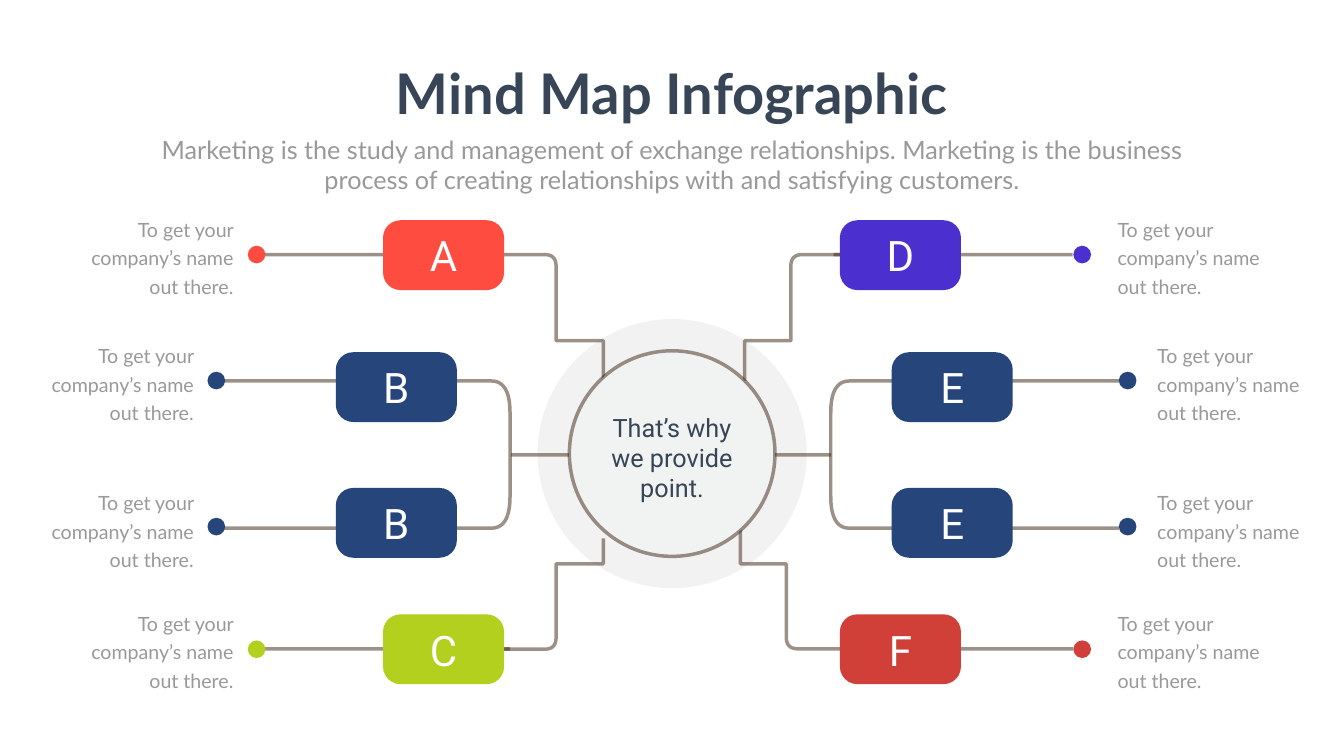
from math import copysign

from lxml import etree
from pptx import Presentation
from pptx.dml.color import RGBColor
from pptx.enum.shapes import MSO_CONNECTOR, MSO_SHAPE
from pptx.enum.text import MSO_ANCHOR, PP_ALIGN
from pptx.oxml.ns import qn
from pptx.util import Cm, Pt

OVAL, ROUND = MSO_SHAPE.OVAL, MSO_SHAPE.ROUNDED_RECTANGLE
STRAIGHT = MSO_CONNECTOR.STRAIGHT
TOP, MIDDLE = MSO_ANCHOR.TOP, MSO_ANCHOR.MIDDLE
LEFT, CENTER, RIGHT = PP_ALIGN.LEFT, PP_ALIGN.CENTER, PP_ALIGN.RIGHT


def rgb(code):
    return RGBColor.from_string(code)


def fade(shape, percent):
    """Make the first solid colour of a shape or its line see-through."""
    color = next(shape._element.spPr.iter(qn("a:srgbClr")))
    etree.SubElement(color, qn("a:alpha"), val=str(percent * 1000))


def shift(point, goal, cut):
    """Move a corner towards the next point, by one cut for each axis."""
    return tuple(a + copysign(c, b - a) if a != b else a
                 for a, b, c in zip(point, goal, cut))


def curve(before, corner, after, cut, steps=10):
    """Points of a rounded corner."""
    start, end = shift(corner, before, cut), shift(corner, after, cut)
    for step in range(steps + 1):
        t = step / steps
        yield tuple((1 - t) ** 2 * a + 2 * t * (1 - t) * b + t * t * c
                    for a, b, c in zip(start, corner, end))


class Canvas:
    ink, gray, white, wire = "374556", "999999", "FFFFFF", "3C2415"
    head, body = "Lato", "Roboto"

    def __init__(self, slide):
        self.slide = slide
        self.shapes = slide.shapes

    def stroke(self, shape):
        shape.line.width = Pt(5)
        shape.line.color.rgb = rgb(self.wire)
        color = shape._element.spPr.find(qn("a:ln")).find(qn("a:solidFill"))[0]
        etree.SubElement(color, qn("a:alpha"), val="50000")

    def letter(self, shape, text, size, font, color, align=CENTER,
               anchor=TOP, space=None, bold=False, wrap=True):
        frame = shape.text_frame
        frame.text = text
        frame.word_wrap = wrap
        frame.vertical_anchor = anchor
        para = frame.paragraphs[0]
        para.alignment = align
        if space:
            para.line_spacing = Pt(space)
        face = para.runs[0].font
        face.size, face.name, face.bold = Pt(size), font, bold
        face.color.rgb = rgb(color)

    def title(self, text, x, y, w, h):
        shape = self.shapes.title
        shape.left, shape.top, shape.width, shape.height = map(Cm, (x, y, w, h))
        self.letter(shape, text, 80, self.head, self.ink, bold=True, wrap=False)

    def label(self, text, x, y, w, h, *style, **more):
        box = self.shapes.add_textbox(Cm(x), Cm(y), Cm(w), Cm(h))
        self.letter(box, text, *style, **more)

    def block(self, kind, x, y, w, h, color):
        shape = self.shapes.add_shape(kind, Cm(x), Cm(y), Cm(w), Cm(h))
        shape.shadow.inherit = False
        shape.fill.solid()
        shape.fill.fore_color.rgb = rgb(color)
        shape.line.fill.background()
        return shape

    def disc(self, x, y, size, color):
        return self.block(OVAL, x - size / 2, y - size / 2, size, size, color)

    def node(self, text, x, y, color):
        shape = self.block(ROUND, x, y, 6.1, 3.52, color)
        shape.adjustments[0] = 0.25
        self.letter(shape, text, 60, self.body, self.white, anchor=MIDDLE)

    def link(self, x1, x2, y):
        line = self.shapes.add_connector(STRAIGHT, Cm(x1), Cm(y), Cm(x2), Cm(y))
        self.stroke(line)
        etree.SubElement(line._element.spPr, qn("a:effectLst"))

    def route(self, points, cuts):
        """Open line; cuts maps a corner's index to its rounding."""
        track = []
        for i, point in enumerate(points):
            if i in cuts:
                track += curve(points[i - 1], point, points[i + 1], cuts[i])
            else:
                track.append(point)
        track = [(Cm(x), Cm(y)) for x, y in track]
        pen = self.shapes.build_freeform(*track[0])
        pen.add_line_segments(track[1:], close=False)
        shape = pen.convert_to_shape()
        shape.shadow.inherit = False
        shape.fill.background()
        self.stroke(shape)


def main():
    deck = Presentation()
    deck.slide_width, deck.slide_height = Cm(67.72), Cm(38.1)
    slide = deck.slides.add_slide(deck.slide_layouts[5])
    slide.background.fill.solid()
    slide.background.fill.fore_color.rgb = rgb("FEFFFE")
    art = Canvas(slide)

    # Heading
    art.title("Mind Map Infographic", 19.53, 2.84, 28.65, 3.68)
    art.label("Marketing is the study and management of exchange relationships. "
              "Marketing is the business process of creating relationships "
              "with and satisfying customers.",
              7.42, 6.63, 52.88, 3.33, 36, art.head, art.gray)

    # Halo behind the hub
    mid_x, mid_y = 33.87, 22.86
    fade(art.disc(mid_x, mid_y, 13.56, "808080"), 10)

    # Stepped lines to the outer nodes: start, bend and end x, then three y
    for x1, x2, x3, y1, y2, y3 in (
            (24.61, 28.02, 30.4, 12.83, 17.17, 19.2),
            (24.61, 28.02, 30.4, 32.72, 28.42, 27.13),
            (43.33, 39.85, 37.52, 12.83, 17.17, 19.2),
            (43.1, 39.62, 37.31, 32.7, 28.42, 26.7)):
        art.route([(x1, y1), (x2, y1), (x2, y2), (x3, y2), (x3, y3)],
                  {1: (0.58, 0.58)})

    # Brackets round the inner nodes
    for end, bend in ((11.18, 25.7), (56.39, 41.86)):
        art.route([(end, 26.62), (bend, 26.62), (bend, 19.2), (end, 19.2)],
                  {1: (0.94, 1.6), 2: (0.94, 1.6)})

    # Straight lines
    for x1, x2, y in ((23.67, 13.28, 12.83), (25.7, 13.28, 32.7),
                      (42.01, 54.05, 12.83), (45.14, 54.08, 32.7),
                      (28.68, 25.76, 22.92), (39.04, 41.88, 22.92)):
        art.link(x1, x2, y)

    # Hub
    art.stroke(art.disc(mid_x, mid_y, 10.36, "F1F2F2"))
    art.label("That’s why we provide point.", 29.82, 20.65, 8.08, 4.85,
              36, art.body, art.ink, space=43)

    # Branches: x of node, dot and note; then y of node, dot and note
    columns = {
        "left": (19.3, 12.93, 3.4, RIGHT),
        "far left": (16.92, 10.9, 1.4, RIGHT),
        "right": (42.32, 54.53, 56.06, LEFT),
        "far right": (44.93, 56.82, 58.06, LEFT),
    }
    rows = ((11.1, 12.83, 10.59), (17.75, 19.18, 16.97),
            (24.59, 26.54, 24.38), (30.96, 32.72, 30.45))
    branches = (
        ("A", "left", 0, "FE4C40"), ("B", "far left", 1, "26457B"),
        ("B", "far left", 2, "26457B"), ("C", "left", 3, "B2D01D"),
        ("D", "right", 0, "4B30CF"), ("E", "far right", 1, "25457B"),
        ("E", "far right", 2, "25457B"), ("F", "right", 3, "D04038"),
    )
    for name, side, row, color in branches:
        node_x, dot_x, note_x, align = columns[side]
        node_y, dot_y, note_y = rows[row]
        art.node(name, node_x, node_y, color)
        art.disc(dot_x, dot_y, 0.89, color)
        art.label("To get your company’s name out there.",
                  note_x, note_y, 8.61, 4.5, 28, art.head, art.gray,
                  align=align, space=40.8)

    deck.save("out.pptx")


if __name__ == "__main__":
    main()
